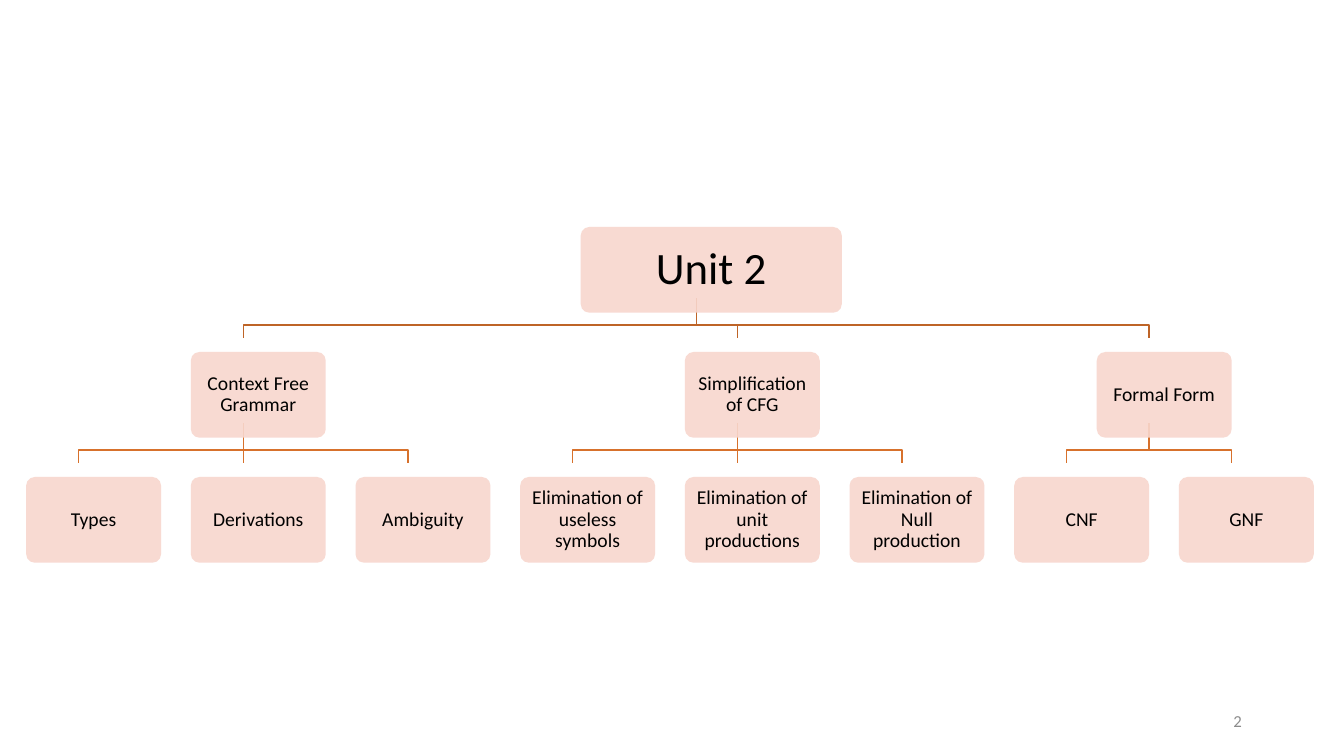
from lxml import etree
from pptx import Presentation
from pptx.dml.color import RGBColor
from pptx.enum.shapes import MSO_CONNECTOR, MSO_SHAPE
from pptx.enum.text import MSO_ANCHOR, PP_ALIGN
from pptx.oxml.ns import qn
from pptx.util import Cm, Pt

ROUND = MSO_SHAPE.ROUNDED_RECTANGLE
STRAIGHT = MSO_CONNECTOR.STRAIGHT
MIDDLE = MSO_ANCHOR.MIDDLE
CENTER, RIGHT = PP_ALIGN.CENTER, PP_ALIGN.RIGHT

LEFT, TOP = 0.66, 5.72
STEP, DROP = 4.15, 3.15
WIDE, HIGH = 3.4, 2.16

TREE = [
    ("Context Free Grammar", ["Types", "Derivations", "Ambiguity"]),
    ("Simplification of CFG", ["Elimination of useless symbols",
                               "Elimination of unit productions",
                               "Elimination of Null production"]),
    ("Formal Form", ["CNF", "GNF"]),
]


def color(code):
    return RGBColor.from_string(code)


def write(frame, text, size=14, ink="000000", align=CENTER, space=1.0, inset=None):
    frame.word_wrap = True
    frame.vertical_anchor = MIDDLE
    if inset is not None:
        frame.margin_left = frame.margin_right = Cm(inset)
        frame.margin_top = frame.margin_bottom = Cm(inset)
    para = frame.paragraphs[0]
    para.alignment = align
    para.line_spacing = space
    run = para.add_run()
    run.text = text
    run.font.name = "Calibri"
    run.font.size = Pt(size)
    run.font.color.rgb = color(ink)


class Chart:
    """Draws a tree of rounded boxes on one slide in a fixed style."""

    fill = "F8D7CE"
    lines = ("BE6427", "D7712C")

    def __init__(self, deck):
        self.slide = deck.slides.add_slide(deck.slide_layouts[6])
        self.shapes = self.slide.shapes

    def box(self, mid, row, text, wide=WIDE, size=14, inset=0.22):
        shape = self.shapes.add_shape(ROUND, Cm(mid - wide / 2), Cm(TOP + row * DROP),
                                      Cm(wide), Cm(HIGH))
        shape.adjustments[0] = 0.1
        shape.shadow.inherit = False
        shape.fill.solid()
        shape.fill.fore_color.rgb = color(self.fill)
        tint = shape.fill._xPr.find(".//" + qn("a:srgbClr"))
        etree.SubElement(tint, qn("a:alpha")).set("val", "90000")
        shape.line.fill.background()
        write(shape.text_frame, text, size=size, space=0.9, inset=inset)

    def link(self, start, end, row):
        x1, x2 = Cm(start - 0.38), Cm(end - 0.38)
        top = TOP + row * DROP + HIGH - 0.36
        y1, bend, y2 = Cm(top), Cm(top + 0.67), Cm(top + 0.99)
        if x1 == x2:
            shape = self.shapes.add_connector(STRAIGHT, x1, y1, x2, y2)
            etree.SubElement(shape._element.spPr, qn("a:effectLst"))
        else:
            path = self.shapes.build_freeform(x1, y1)
            path.add_line_segments([(x1, bend), (x2, bend), (x2, y2)], close=False)
            shape = path.convert_to_shape()
            shape.shadow.inherit = False
            shape.fill.background()
        shape.line.color.rgb = color(self.lines[row])
        shape.line.width = Pt(1)

    def label(self, left, top, wide, high, text, **style):
        area = self.shapes.add_textbox(Cm(left), Cm(top), Cm(wide), Cm(high))
        write(area.text_frame, text, **style)


def main():
    deck = Presentation()
    deck.slide_width, deck.slide_height = Cm(33.87), Cm(19.05)
    chart = Chart(deck)

    nodes, col = [], 0
    for name, leaves in TREE:
        mids = [round(LEFT + WIDE / 2 + STEP * (col + i), 2) for i in range(len(leaves))]
        nodes.append((round((mids[0] + mids[-1]) / 2, 2), name, list(zip(mids, leaves))))
        col += len(leaves)
    root = (nodes[0][0] + nodes[-1][0]) / 2

    for mid, name, leaves in nodes:
        chart.link(root, mid, 0)
        for end, leaf in leaves:
            chart.link(mid, end, 1)

    chart.box(root, 0, "Unit 2", wide=6.58, size=32, inset=0.4)
    for mid, name, leaves in nodes:
        chart.box(mid, 1, name)
        for end, leaf in leaves:
            chart.box(end, 2, leaf)

    chart.label(23.93, 17.65, 7.62, 1.01, "2", size=12, ink="8C8C8C", align=RIGHT)
    deck.save("out.pptx")


if __name__ == "__main__":
    main()
